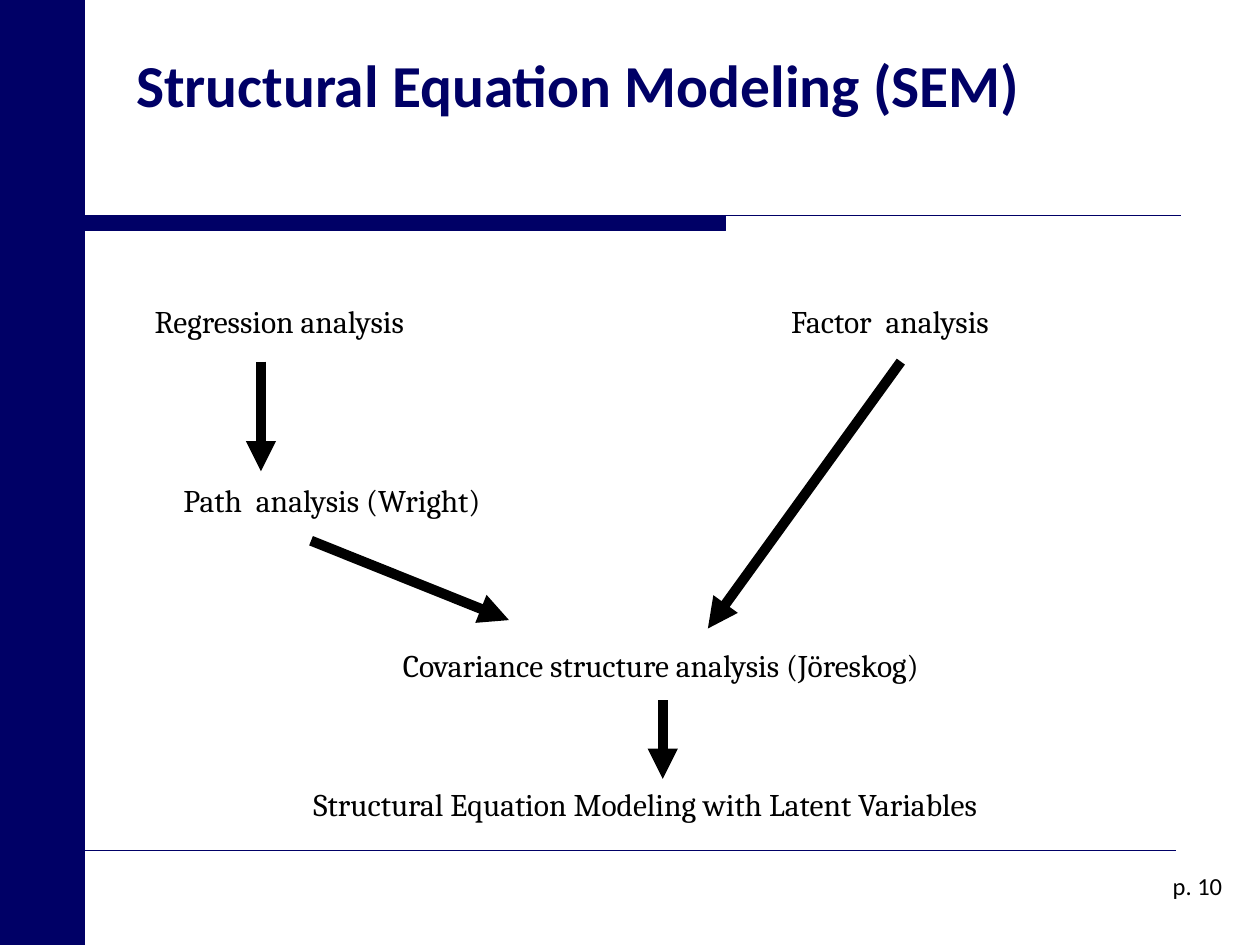
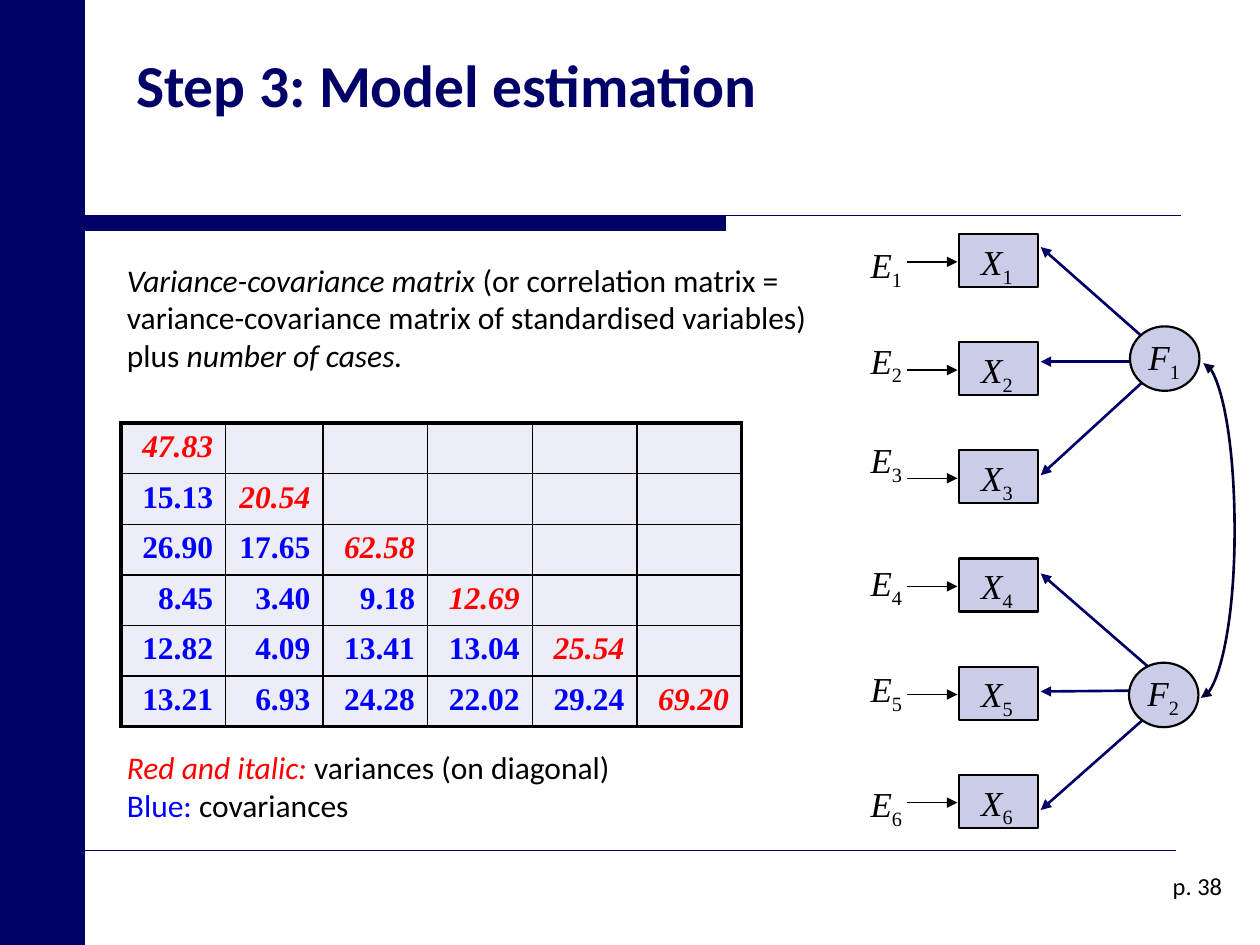
import dataclasses

import lxml.etree
import pptx
import pptx.dml.color
import pptx.enum.shapes
import pptx.enum.text
import pptx.oxml.ns
import pptx.util

Cm = pptx.util.Cm
Pt = pptx.util.Pt
RGBColor = pptx.dml.color.RGBColor
qn = pptx.oxml.ns.qn
Shape = pptx.enum.shapes.MSO_SHAPE
Connector = pptx.enum.shapes.MSO_CONNECTOR
Anchor = pptx.enum.text.MSO_ANCHOR
Align = pptx.enum.text.PP_ALIGN

NAVY = RGBColor(0x00, 0x00, 0x66)
DARK_NAVY = RGBColor(0x00, 0x00, 0x33)
BLACK = RGBColor(0x00, 0x00, 0x00)
RED = RGBColor(0xFF, 0x00, 0x00)
BLUE = RGBColor(0x00, 0x00, 0xFF)
LAVENDER = RGBColor(0xCA, 0xCC, 0xE8)
PALE = RGBColor(0xED, 0xED, 0xF7)


@dataclasses.dataclass(frozen=True)
class Style:
    font: str
    size: float
    color: RGBColor = BLACK
    bold: bool = False
    italic: bool = False
    baseline: int = 0


TITLE = Style("Calibri", 34, NAVY, bold=True)
BODY = Style("Calibri", 18)
BODY_ITALIC = dataclasses.replace(BODY, italic=True)
PAGE = Style("Calibri", 14)
METHOD = Style("Cambria", 18)
VARIABLE = Style("Times New Roman", 20, italic=True)
SUBSCRIPT = Style("Times New Roman", 20, baseline=-25000)
COVARIANCE = Style("Times New Roman", 18, BLUE, bold=True)
VARIANCE = dataclasses.replace(COVARIANCE, color=RED, italic=True)

METHODS = [
    ("Regression analysis", 2.87, 5.97, 8.99),
    ("Path  analysis (Wright)", 3.45, 9.58, 8.99),
    ("Factor  analysis", 15.7, 5.97, 8.99),
    ("Covariance structure analysis (Jöreskog)", 7.87, 12.9, 11.61),
    ("Structural Equation Modeling with Latent Variables", 6.07, 15.7, 14.6),
]
METHOD_ARROWS = [
    ((5.26, 7.29), (5.26, 9.5)),
    ((18.16, 7.29), (14.27, 12.67)),
    ((6.27, 10.9), (10.26, 12.5)),
    ((13.36, 14.12), (13.36, 15.7)),
]
MATRIX = [
    ["47.83"],
    ["15.13", "20.54"],
    ["26.90", "17.65", "62.58"],
    ["8.45", "3.40", "9.18", "12.69"],
    ["12.82", "4.09", "13.41", "13.04", "25.54"],
    ["13.21", "6.93", "24.28", "22.02", "29.24", "69.20"],
]
LOADINGS = [
    ((23.11, 6.86), 4.98),
    ((23.42, 7.29), 7.29),
    ((23.34, 7.42), 9.58),
    ((23.34, 13.61), 11.56),
    ((23.11, 13.92), 13.94),
    ((23.39, 14.2), 16.33),
]
LOADING_END = 20.98
INDICATOR_TOP = 4.72
INDICATOR_PITCH = 2.18
ERROR_TOPS = [4.78, 6.71, 8.71, 11.2, 13.34, 15.65]
FACTORS = [(22.78, 6.58), (22.76, 13.36)]


def add_runs(paragraph, runs):
    for text, style in runs:
        run = paragraph.add_run()
        run.text = text
        run.font.name = style.font
        run.font.size = Pt(style.size)
        run.font.color.rgb = style.color
        run.font.bold = style.bold
        run.font.italic = style.italic
        if style.baseline:
            run._r.get_or_add_rPr().set("baseline", str(style.baseline))


def add_text(slide, left, top, width, height, *paragraphs, wrap=True):
    box = slide.shapes.add_textbox(Cm(left), Cm(top), Cm(width), Cm(height))
    frame = box.text_frame
    frame.word_wrap = wrap
    for number, runs in enumerate(paragraphs):
        paragraph = frame.add_paragraph() if number else frame.paragraphs[0]
        add_runs(paragraph, runs)
    return frame


def add_block(slide, kind, left, top, width, height, fill, outline, weight):
    block = slide.shapes.add_shape(kind, Cm(left), Cm(top), Cm(width), Cm(height))
    block.shadow.inherit = False
    block.fill.solid()
    block.fill.fore_color.rgb = fill
    block.line.color.rgb = outline
    block.line.width = Pt(weight)


def add_line(slide, start, end, color, weight, heads=(), kind=Connector.STRAIGHT):
    line = slide.shapes.add_connector(kind, *map(Cm, (*start, *end)))
    line.line.color.rgb = color
    line.line.width = Pt(weight)
    properties = line.element.spPr
    outline = properties.find(qn("a:ln"))
    for head in heads:
        lxml.etree.SubElement(outline, qn(f"a:{head}"), type="triangle")
    lxml.etree.SubElement(properties, qn("a:effectLst"))
    return line


def add_arrow(slide, start, end, color, weight):
    add_line(slide, start, end, color, weight, heads=["tailEnd"])


def add_factor_correlation(slide, start, end, bulge):
    curve = add_line(slide, start, end, DARK_NAVY, 1.5,
                     heads=["headEnd", "tailEnd"], kind=Connector.CURVE)
    adjustment = round(-bulge / (start[0] - end[0]) * 100000)
    guides = curve.element.spPr.find(qn("a:prstGeom")).get_or_add_avLst()
    lxml.etree.SubElement(guides, qn("a:gd"), name="adj1", fmla=f"val {adjustment}")


def add_variable(slide, letter, number, left, top):
    add_text(slide, left, top, 1.17, 1.09,
             [(letter, VARIABLE), (str(number), SUBSCRIPT)], wrap=False)


def set_borders(cell, edges):
    properties = cell._tc.get_or_add_tcPr()
    for edge, is_outer in edges.items():
        border = lxml.etree.SubElement(properties, qn(f"a:{edge}"),
                                       w=str(Pt(2.25 if is_outer else 1)))
        fill = lxml.etree.SubElement(border, qn("a:solidFill"))
        lxml.etree.SubElement(fill, qn("a:srgbClr"), val=str(BLACK))


def add_matrix(slide, left, top):
    size = len(MATRIX)
    widths = [2.11, 1.96] + [2.11] * (size - 2)
    table = slide.shapes.add_table(size, size, Cm(left), Cm(top),
                                   Cm(sum(widths)), Cm(1.02 * size)).table
    table.first_row = False
    table.horz_banding = False
    for column, width in zip(table.columns, widths):
        column.width = Cm(width)
    for i in range(size):
        for j in range(size):
            cell = table.cell(i, j)
            cell.margin_bottom = 0
            set_borders(cell, {"lnL": j == 0, "lnR": j == size - 1,
                               "lnT": i == 0, "lnB": i == size - 1})
            cell.fill.solid()
            cell.fill.fore_color.rgb = PALE
            if j <= i:
                paragraph = cell.text_frame.paragraphs[0]
                paragraph.alignment = Align.RIGHT
                add_runs(paragraph, [(MATRIX[i][j], VARIANCE if i == j else COVARIANCE)])


def add_path_diagram(slide):
    for start, end_y in LOADINGS:
        add_arrow(slide, start, (LOADING_END, end_y), NAVY, 1.5)
    for number, (left, top) in enumerate(FACTORS, 1):
        add_block(slide, Shape.OVAL, left, top, 1.4, 1.3, LAVENDER, BLACK, 1.25)
        add_variable(slide, "F", number, left + 0.12, top + 0.06)
    for number, error_top in enumerate(ERROR_TOPS, 1):
        top = INDICATOR_TOP + INDICATOR_PITCH * (number - 1)
        add_block(slide, Shape.RECTANGLE, 19.33, top, 1.6, 1.07, LAVENDER, BLACK, 1.25)
        add_variable(slide, "X", number, 19.53, top)
        add_variable(slide, "E", number, 17.3, error_top)
        add_arrow(slide, (18.29, top + 0.56), (19.3, top + 0.56), BLACK, 0.75)
    add_factor_correlation(slide, (24.26, 7.32), (24.21, 14.07), 0.63)


def add_slide(deck, title, page):
    slide = deck.slides.add_slide(deck.slide_layouts[5])
    add_block(slide, Shape.RECTANGLE, 1.7, 4.34, 12.93, 0.31, NAVY, NAVY, 0.25)
    add_line(slide, (1.7, 4.34), (23.8, 4.34), NAVY, 0.75)
    add_line(slide, (1.7, 17.15), (23.7, 17.15), NAVY, 0.25)
    add_block(slide, Shape.RECTANGLE, 0, 0, 1.7, 19.05, NAVY, NAVY, 1)

    heading = slide.shapes.title
    heading.left, heading.top = Cm(2.49), Cm(0.84)
    heading.width, heading.height = Cm(19.53), Cm(3.38)
    heading.text_frame.vertical_anchor = Anchor.TOP
    heading.text_frame.paragraphs[0].alignment = Align.LEFT
    add_runs(heading.text_frame.paragraphs[0], [(title, TITLE)])

    footer = add_text(slide, 19.61, 17.12, 5.28, 1.47, [(f"p. {page}", PAGE)])
    footer.vertical_anchor = Anchor.MIDDLE
    footer.paragraphs[0].alignment = Align.RIGHT
    return slide


def build_history(deck):
    slide = add_slide(deck, "Structural Equation Modeling (SEM)", 10)
    for method, left, top, width in METHODS:
        add_text(slide, left, top, width, 1.02, [(method, METHOD)])
    for start, end in METHOD_ARROWS:
        add_arrow(slide, start, end, BLACK, 5.75)


def build_estimation(deck):
    slide = add_slide(deck, "Step 3: Model estimation", 38)
    add_path_diagram(slide)
    add_matrix(slide, 2.44, 8.53)
    add_text(slide, 2.31, 5.13, 14.81, 3.33, [
        ("Variance-covariance matrix", BODY_ITALIC),
        (" (or correlation matrix = variance-covariance matrix of "
         "standardised variables) plus ", BODY),
        ("number of cases.", BODY_ITALIC),
    ])
    add_text(slide, 2.31, 14.96, 12.7, 1.8,
             [("Red and italic:", dataclasses.replace(BODY_ITALIC, color=RED)),
              (" variances (on diagonal)", BODY)],
             [("Blue:", dataclasses.replace(BODY, color=BLUE)),
              (" covariances", BODY)])


def main():
    deck = pptx.Presentation()
    deck.slide_width, deck.slide_height = Cm(25.4), Cm(19.05)
    build_history(deck)
    build_estimation(deck)
    deck.save("out.pptx")


if __name__ == "__main__":
    main()
